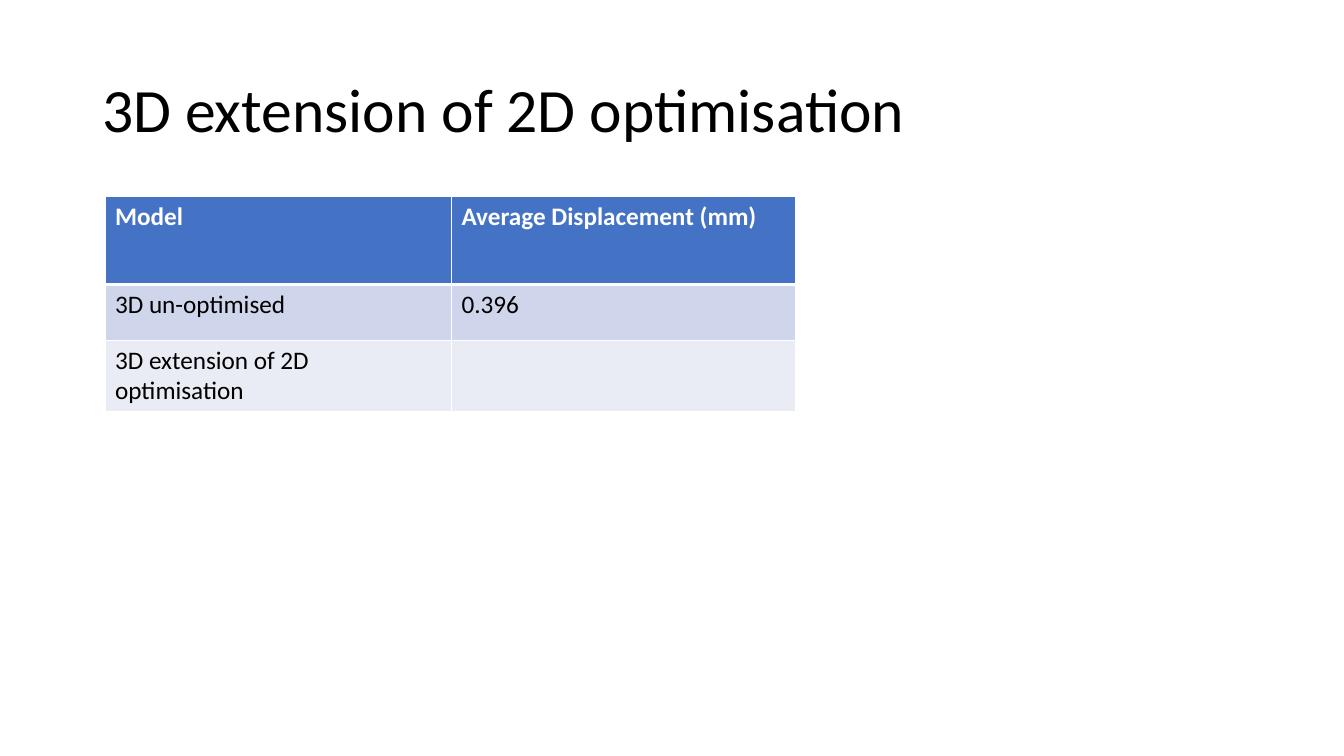
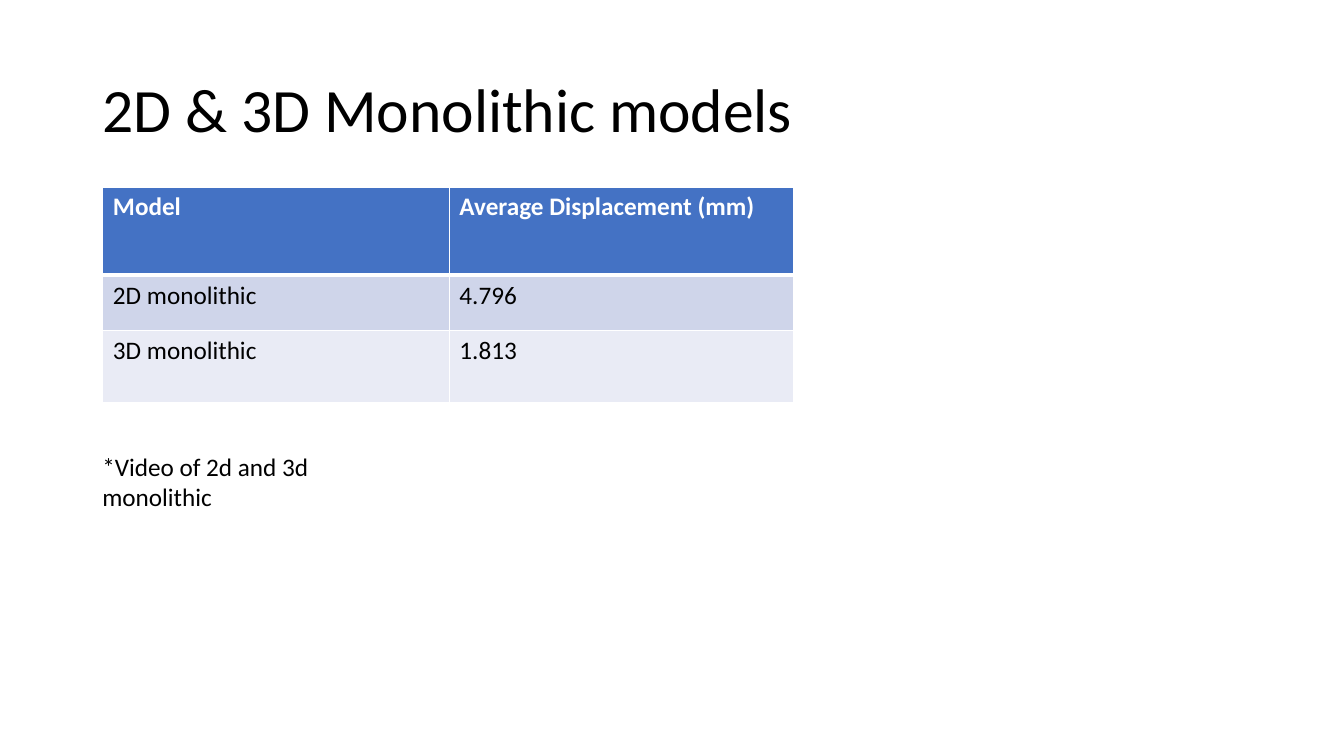
from lxml import etree
from pptx import Presentation
from pptx.dml.color import RGBColor
from pptx.enum.text import MSO_ANCHOR as Anchor, MSO_AUTO_SIZE as AutoSize
from pptx.oxml.ns import qn
from pptx.util import Emu, Pt

BLACK = RGBColor(0x00, 0x00, 0x00)
WHITE = RGBColor(0xFF, 0xFF, 0xFF)
HEADER_BLUE = RGBColor(0x44, 0x72, 0xC4)
ROW_FILLS = [HEADER_BLUE, RGBColor(0xCF, 0xD5, 0xEA), RGBColor(0xE9, 0xEB, 0xF5)]

BODY = {"name": "Calibri", "size": Pt(18), "bold": False}
TITLE = BODY | {"size": Pt(44)}
HEADER = BODY | {"bold": True}

SLIDE_SIZE = (1280, 720)
TITLE_BOX = (88, 38, 1104, 139)
NOTE_BOX = (88, 425, 267, 68)
COLUMN_WIDTHS = [330, 328]
ROW_HEIGHTS = [84, 53, 68]
TABLE_HEADER = ["Model", "Average Displacement (mm)"]

SLIDES = [
    {"title": "3D extension of 2D optimisation",
     "table_at": (100, 187),
     "rows": [["3D un-optimised", "0.396"],
              ["3D extension of 2D optimisation", ""]]},
    {"title": "2D & 3D Monolithic models",
     "table_at": (98, 178),
     "rows": [["2D monolithic", "4.796"], ["3D monolithic", "1.813"]],
     "note": "*Video of 2d and 3d monolithic"},
]


def px(length):
    return Emu(length * 9525)


def write(frame, text, style, color):
    paragraph = frame.paragraphs[0]
    if text:
        font = paragraph.add_run().font
        paragraph.runs[0].text = text
        for name, value in style.items():
            setattr(font, name, value)
        font.color.rgb = color
    return paragraph


def add_text(slide, box, text, style, **frame_format):
    frame = slide.shapes.add_textbox(*map(px, box)).text_frame
    for name, value in ({"word_wrap": True} | frame_format).items():
        setattr(frame, name, value)
    return write(frame, text, style, BLACK)


def set_borders(cell, widths):
    properties = cell._tc.get_or_add_tcPr()
    for side, points in widths.items():
        line = etree.SubElement(properties, qn(f"a:ln{side}"), w=str(Pt(points)))
        fill = etree.SubElement(line, qn("a:solidFill"))
        etree.SubElement(fill, qn("a:srgbClr"), val=str(WHITE))


def add_results_table(slide, left, top, rows):
    box = (left, top, sum(COLUMN_WIDTHS), sum(ROW_HEIGHTS))
    table = slide.shapes.add_table(
        len(ROW_HEIGHTS), len(COLUMN_WIDTHS), *map(px, box)).table
    table.horz_banding = False
    for column, width in zip(table.columns, COLUMN_WIDTHS):
        column.width = px(width)
    for index, values in enumerate([TABLE_HEADER, *rows]):
        table.rows[index].height = px(ROW_HEIGHTS[index])
        style, color = (BODY, BLACK) if index else (HEADER, WHITE)
        for column, text in enumerate(values):
            cell = table.cell(index, column)
            # A thick rule parts the header from the body
            set_borders(cell, {"L": 1, "R": 1,
                               "T": 3 if index == 1 else 1,
                               "B": 3 if index == 0 else 1})
            cell.fill.solid()
            cell.fill.fore_color.rgb = ROW_FILLS[index]
            write(cell.text_frame, text, style, color)


def add_results_slide(presentation, content):
    slide = presentation.slides.add_slide(presentation.slide_layouts[6])
    # Title
    title = add_text(slide, TITLE_BOX, content["title"], TITLE,
                     vertical_anchor=Anchor.MIDDLE)
    title.line_spacing = 0.9
    # Note below the table
    if "note" in content:
        add_text(slide, NOTE_BOX, content["note"], BODY,
                 auto_size=AutoSize.SHAPE_TO_FIT_TEXT)
    # Results
    add_results_table(slide, *content["table_at"], content["rows"])


def main():
    presentation = Presentation()
    presentation.slide_width, presentation.slide_height = map(px, SLIDE_SIZE)
    for content in SLIDES:
        add_results_slide(presentation, content)
    presentation.save("out.pptx")


if __name__ == "__main__":
    main()
